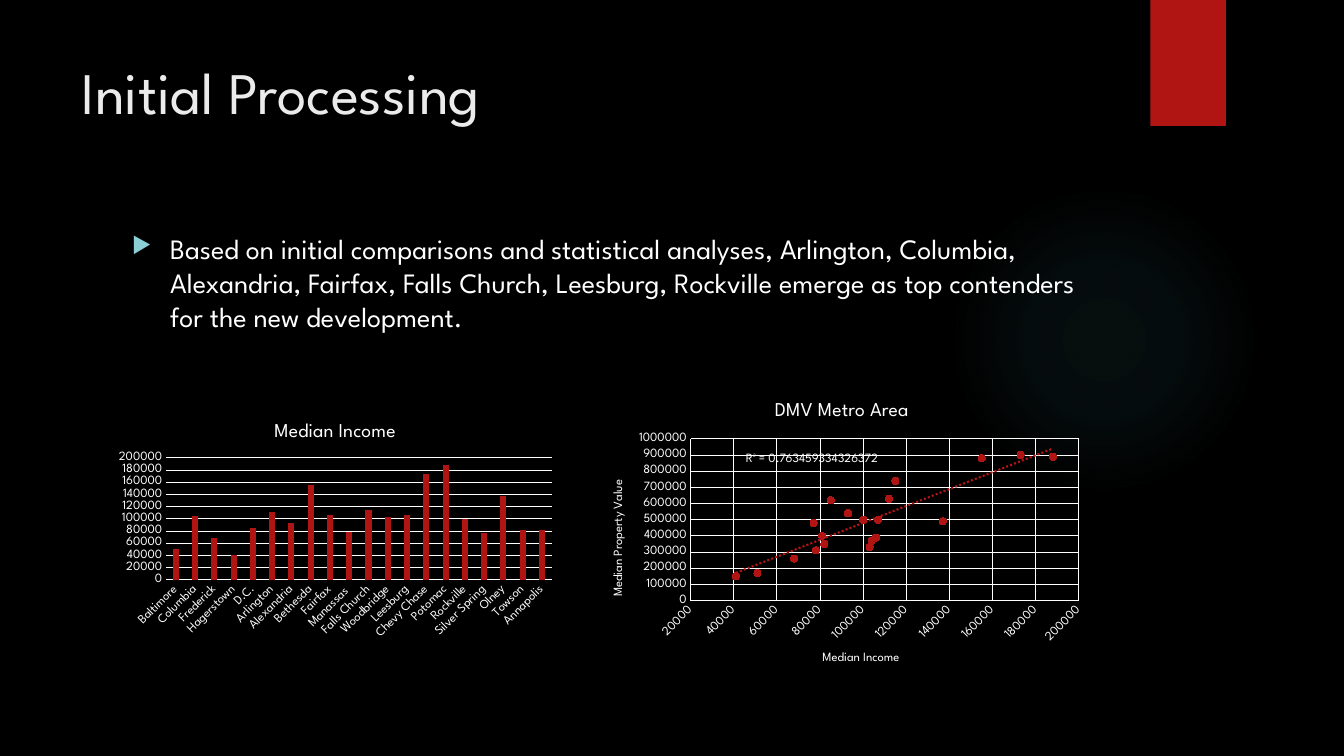
"""Build the Initial Processing slide with its income and property value charts."""
from lxml import etree
from pptx import Presentation
from pptx.chart.data import CategoryChartData, XyChartData
from pptx.dml.color import RGBColor
from pptx.enum.chart import XL_CHART_TYPE, XL_MARKER_STYLE, XL_TICK_MARK
from pptx.enum.shapes import MSO_SHAPE
from pptx.enum.text import MSO_ANCHOR, PP_ALIGN
from pptx.oxml import parse_xml
from pptx.oxml.ns import nsdecls, qn
from pptx.util import Inches, Pt

FONT = "League Spartan"
COLORS = {"black": "000000", "white": "FFFFFF", "title": "EBEBEB",
          "red": "B01513", "bullet": "8AD0D6", "glow": "50B9C1"}
CITIES = ["Baltimore", "Columbia", "Frederick", "Hagerstown", "D.C.",
          "Arlington", "Alexandria", "Bethesda", "Fairfax", "Manassas ",
          "Falls Church", "Woodbridge", "Leesburg", "Chevy Chase", "Potomac",
          "Rockville", "Silver Spring", "Olney", "Towson", "Annapolis"]
INCOMES = [51000, 104000, 68000, 41000, 85000, 112000, 93000, 155000, 107000,
           78000, 115000, 103000, 106000, 173000, 188000, 100000, 77000,
           137000, 82000, 81000]
PROPERTY_VALUES = [170000, 370000, 260000, 150000, 620000, 630000, 540000,
                   880000, 500000, 310000, 740000, 330000, 390000, 900000,
                   890000, 500000, 480000, 490000, 350000, 400000]


def style_text(frame, size, color):
    """Format every run of a text frame."""
    for para in frame.paragraphs:
        for span in para.runs:
            span.font.name = FONT
            span.font.size = Pt(size)
            span.font.bold = False
            span.font.color.rgb = RGBColor.from_string(COLORS[color])


def style_chart(chart, title, plot_area):
    """Apply the shared title, axis and plot area look to a chart."""
    white = RGBColor.from_string(COLORS["white"])
    chart.has_legend = False
    chart.font.name = FONT
    chart.font.size = Pt(10)
    chart.font.color.rgb = white
    chart.has_title = True
    chart.chart_title.text_frame.text = title
    style_text(chart.chart_title.text_frame, 14, "white")
    chart.plots[0].vary_by_categories = False
    for axis in (chart.category_axis, chart.value_axis):
        axis.major_tick_mark = axis.minor_tick_mark = XL_TICK_MARK.NONE
        axis.tick_labels.font.size = Pt(9)
        axis.tick_labels.font.name = FONT
        axis.tick_labels.font.color.rgb = white
        axis.format.line.color.rgb = white
        axis.format.line.width = Pt(0.75)
    chart.category_axis._element.find(qn("c:txPr")).find(qn("a:bodyPr")).set("rot", "-2700000")
    area = chart._chartSpace.chart.plotArea
    for layout in area.findall(qn("c:layout")):
        area.remove(layout)
    places = "".join(f'<c:{key} val="{value}"/>' for key, value in zip("xywh", plot_area))
    area.insert(0, parse_xml(
        f'<c:layout {nsdecls("c")}><c:manualLayout><c:layoutTarget val="inner"/>'
        f'<c:xMode val="edge"/><c:yMode val="edge"/>{places}</c:manualLayout></c:layout>'))


deck = Presentation()
deck.slide_width, deck.slide_height = Inches(13.33), Inches(7.5)
page = deck.slides.add_slide(deck.slide_layouts[5])
page.background.fill.solid()
page.background.fill.fore_color.rgb = RGBColor.from_string(COLORS["black"])

glow = page.shapes.add_shape(MSO_SHAPE.OVAL, Inches(9.41), Inches(1.83), Inches(3.08), Inches(3.08))
glow.shadow.inherit = False
glow.line.fill.background()
stops = "".join(
    f'<a:gs pos="{position}000"><a:srgbClr val="{COLORS["glow"]}">'
    f'<a:alpha val="{alpha}000"/></a:srgbClr></a:gs>'
    for position, alpha in ((0, 7), (36, 6), (69, 0)))
glow._element.spPr.find(qn("a:prstGeom")).addnext(parse_xml(
    f'<a:gradFill {nsdecls("a")}><a:gsLst>{stops}</a:gsLst><a:path path="circle">'
    '<a:fillToRect l="50000" t="50000" r="50000" b="50000"/></a:path></a:gradFill>'))

ribbon = page.shapes.add_shape(MSO_SHAPE.RECTANGLE, Inches(11.41), 0, Inches(0.75), Inches(1.25))
ribbon.shadow.inherit = False
ribbon.fill.solid()
ribbon.fill.fore_color.rgb = RGBColor.from_string(COLORS["red"])
ribbon.line.fill.background()

title = page.shapes.title
title.left, title.top, title.width, title.height = (
    Inches(0.71), Inches(0.5), Inches(10.29), Inches(1.53))
title.text_frame.text = "Initial Processing"
title.text_frame.vertical_anchor = MSO_ANCHOR.TOP
title.text_frame.paragraphs[0].alignment = PP_ALIGN.LEFT
style_text(title.text_frame, 42, "title")

body = page.shapes.add_textbox(Inches(1.21), Inches(2.25), Inches(9.78), Inches(4.59))
body.text_frame.word_wrap = True
body.text_frame.text = (
    "Based on initial comparisons and statistical analyses, Arlington, Columbia, "
    "Alexandria, Fairfax, Falls Church, Leesburg, Rockville emerge as top contenders "
    "for the new development.")
style_text(body.text_frame, 20, "white")
para = body.text_frame.paragraphs[0]
para.space_before = Pt(10)
properties = para._p.get_or_add_pPr()
properties.set("marL", str(Inches(0.38)))
properties.set("indent", str(-Inches(0.38)))
bullet_color = etree.SubElement(properties, qn("a:buClr"))
etree.SubElement(bullet_color, qn("a:srgbClr"), val=COLORS["bullet"])
etree.SubElement(properties, qn("a:buSzPct"), val="80000")
etree.SubElement(properties, qn("a:buChar"), char="▶")

scatter_data = XyChartData()
points = scatter_data.add_series("Series 1")
for income, property_value in zip(INCOMES, PROPERTY_VALUES):
    points.add_data_point(income, property_value)
scatter = page.shapes.add_chart(
    XL_CHART_TYPE.XY_SCATTER, Inches(5.85), Inches(3.83), Inches(5), Inches(3), scatter_data).chart
style_chart(scatter, "DMV Metro Area", (0.2, 0.175, 0.77, 0.535))
for axis, name, low, high, step in (
        (scatter.category_axis, "Median Income", 20000, 200000, 20000),
        (scatter.value_axis, "Median Property Value", 0, 1000000, 100000)):
    axis.minimum_scale, axis.maximum_scale, axis.major_unit = low, high, step
    axis.has_title = True
    axis.axis_title.text_frame.text = name
    style_text(axis.axis_title.text_frame, 9, "white")
    axis.has_major_gridlines = True
    axis.major_gridlines.format.line.color.rgb = RGBColor.from_string(COLORS["white"])
    axis.major_gridlines.format.line.width = Pt(0.75)
dots = scatter.plots[0].series[0]
dots.format.line.fill.background()
dots.marker.style = XL_MARKER_STYLE.CIRCLE
dots.marker.size = 5
dots.marker.format.fill.solid()
dots.marker.format.fill.fore_color.rgb = RGBColor.from_string(COLORS["red"])
dots.marker.format.line.color.rgb = RGBColor.from_string(COLORS["red"])
dots.smooth = False
dots._element.find(qn("c:xVal")).addprevious(parse_xml(
    f'<c:trendline {nsdecls("c", "a")}><c:spPr><a:ln w="{Pt(1.5)}"><a:solidFill>'
    f'<a:srgbClr val="{COLORS["red"]}"/></a:solidFill><a:prstDash val="sysDot"/></a:ln></c:spPr>'
    '<c:trendlineType val="linear"/><c:dispRSqr val="0"/><c:dispEq val="0"/></c:trendline>'))

fit_label = page.shapes.add_textbox(Inches(7.3), Inches(4.4), Inches(1.6), Inches(0.28))
fit_label.text_frame.text = "R² = 0.763459334326372"
fit_label.text_frame.vertical_anchor = MSO_ANCHOR.MIDDLE
style_text(fit_label.text_frame, 9, "white")

column_data = CategoryChartData()
column_data.categories = CITIES
column_data.add_series("Series 1", INCOMES)
columns = page.shapes.add_chart(
    XL_CHART_TYPE.COLUMN_CLUSTERED, Inches(1.09), Inches(4.05), Inches(4.47), Inches(2.35),
    column_data).chart
style_chart(columns, "Median Income", (0.125, 0.21, 0.855, 0.515))
columns.plots[0].gap_width = 219
columns.plots[0].overlap = -27
bars = columns.plots[0].series[0]
bars.format.fill.solid()
bars.format.fill.fore_color.rgb = RGBColor.from_string(COLORS["red"])
income_axis = columns.value_axis
income_axis.minimum_scale, income_axis.maximum_scale, income_axis.major_unit = 0, 200000, 20000
income_axis.format.line.fill.background()
income_axis.major_gridlines.format.line.color.rgb = RGBColor.from_string(COLORS["white"])
income_axis.major_gridlines.format.line.width = Pt(0.75)

deck.save("out.pptx")
